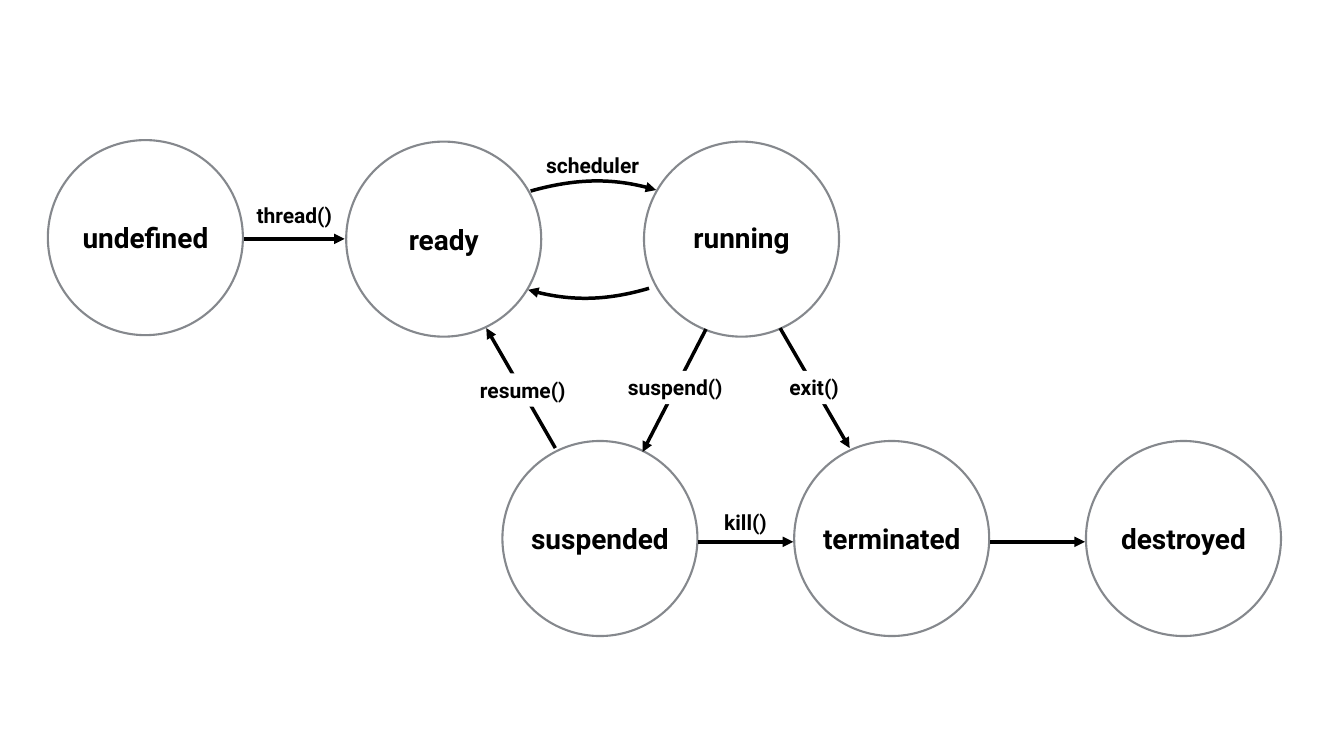
from typing import NamedTuple

from lxml import etree
from pptx import Presentation
from pptx.dml.color import RGBColor
from pptx.enum.shapes import MSO_CONNECTOR, MSO_SHAPE
from pptx.enum.text import MSO_ANCHOR, MSO_AUTO_SIZE, PP_ALIGN
from pptx.oxml.ns import qn
from pptx.util import Emu, Pt

STRAIGHT = MSO_CONNECTOR.STRAIGHT
OVAL = MSO_SHAPE.OVAL
RECTANGLE = MSO_SHAPE.RECTANGLE
MIDDLE = MSO_ANCHOR.MIDDLE
FIT_SHAPE = MSO_AUTO_SIZE.SHAPE_TO_FIT_TEXT
CENTER = PP_ALIGN.CENTER

EMU_PER_PX = 9144
SLIDE_WIDTH, SLIDE_HEIGHT = 2667, 1500
DIAMETER = 387
NAME_HEIGHT, CALL_HEIGHT = 82, 66
NAME_SIZE, CALL_SIZE = 40, 30
INSET = 8
FONT = "Roboto"
BLACK, WHITE, GRAY = "000000", "FFFFFF", "85888D"


class Point(NamedTuple):
    x: int
    y: int


class State(NamedTuple):
    name: str
    left: int
    top: int
    name_top: int
    name_width: int


class Transition(NamedTuple):
    start: Point
    end: Point


class Curve(NamedTuple):
    start: Point
    control_1: Point
    control_2: Point
    end: Point


class Call(NamedTuple):
    text: str
    left: int
    top: int
    width: int
    covers_arrow: bool = False


STATES = [
    State("undefined", 95, 278, 430, 282),
    State("ready", 687, 281, 433, 165),
    State("running", 1278, 281, 430, 224),
    State("suspended", 997, 875, 1027, 310),
    State("terminated", 1576, 875, 1027, 301),
    State("destroyed", 2155, 875, 1027, 283),
]

TRANSITIONS = [
    Transition(Point(485, 474), Point(684, 474)),
    Transition(Point(1102, 889), Point(965, 651)),
    Transition(Point(1385, 1075), Point(1574, 1075)),
    Transition(Point(1965, 1075), Point(2153, 1075)),
    Transition(Point(1548, 651), Point(1686, 889)),
    Transition(Point(1401, 653), Point(1275, 897)),
]

CURVES = [
    Curve(Point(1053, 379), Point(1142, 354), Point(1225, 353), Point(1302, 377)),
    Curve(Point(1288, 572), Point(1203, 597), Point(1122, 597), Point(1048, 575)),
]

CALLS = [
    Call("resume()", 941, 741, 193, True),
    Call("suspend()", 1232, 736, 216, True),
    Call("exit()", 1557, 736, 117, True),
    Call("kill()", 1428, 1003, 103),
    Call("thread()", 498, 394, 172),
    Call("scheduler", 1069, 294, 214),
]


def px(length: float) -> Emu:
    return Emu(round(length * EMU_PER_PX))


def color(value: str) -> RGBColor:
    return RGBColor.from_string(value)


def draw_circle(shapes, state: State) -> None:
    circle = shapes.add_shape(OVAL, px(state.left), px(state.top), px(DIAMETER), px(DIAMETER))
    circle.shadow.inherit = False
    circle.fill.background()
    circle.line.color.rgb = color(GRAY)
    circle.line.width = Pt(3)


def write_text(holder, text: str, size: int) -> None:
    frame = holder.text_frame
    frame.margin_left = frame.margin_right = px(INSET)
    frame.margin_top = frame.margin_bottom = px(INSET)
    frame.word_wrap = False
    frame.auto_size = FIT_SHAPE
    frame.vertical_anchor = MIDDLE
    paragraph = frame.paragraphs[0]
    paragraph.text = text
    paragraph.alignment = CENTER
    paragraph.font.name = FONT
    paragraph.font.size = Pt(size)
    paragraph.font.bold = True
    paragraph.font.color.rgb = color(BLACK)


def draw_name(shapes, state: State) -> None:
    left = state.left + (DIAMETER - state.name_width) / 2
    box = shapes.add_textbox(px(left), px(state.name_top), px(state.name_width), px(NAME_HEIGHT))
    write_text(box, state.name, NAME_SIZE)


def draw_call(shapes, call: Call) -> None:
    bounds = px(call.left), px(call.top), px(call.width), px(CALL_HEIGHT)
    if call.covers_arrow:
        box = shapes.add_shape(RECTANGLE, *bounds)
        box.shadow.inherit = False
        box.fill.solid()
        box.fill.fore_color.rgb = color(WHITE)
        box.line.fill.background()
    else:
        box = shapes.add_textbox(*bounds)
    write_text(box, call.text, CALL_SIZE)


def style_arrow(line) -> None:
    line.color.rgb = color(BLACK)
    line.width = Pt(5)
    etree.SubElement(line._get_or_add_ln(), qn("a:tailEnd"), type="triangle")


def draw_transition(shapes, transition: Transition) -> None:
    start, end = transition
    arrow = shapes.add_connector(STRAIGHT, px(start.x), px(start.y), px(end.x), px(end.y))
    style_arrow(arrow.line)
    etree.SubElement(arrow._element.spPr, qn("a:effectLst"))


def draw_curve(shapes, curve: Curve) -> None:
    start, control_1, control_2, end = curve
    middle = Point(*(round((a + 3 * b + 3 * c + d) / 8) for a, b, c, d in zip(*curve)))
    builder = shapes.build_freeform(start.x, start.y, scale=EMU_PER_PX)
    builder.add_line_segments([middle, end], close=False)
    arrow = builder.convert_to_shape()
    arrow.shadow.inherit = False
    arrow.fill.background()
    style_arrow(arrow.line)

    outline = arrow._element.xpath(".//a:path")[0]
    for segment in outline.findall(qn("a:lnTo")):
        outline.remove(segment)
    bezier = etree.SubElement(outline, qn("a:cubicBezTo"))
    left = min(point.x for point in (start, middle, end))
    top = min(point.y for point in (start, middle, end))
    for point in (control_1, control_2, end):
        etree.SubElement(bezier, qn("a:pt"), x=str(point.x - left), y=str(point.y - top))


def main() -> None:
    presentation = Presentation()
    presentation.slide_width = px(SLIDE_WIDTH)
    presentation.slide_height = px(SLIDE_HEIGHT)
    slide = presentation.slides.add_slide(presentation.slide_layouts[6])
    slide.background.fill.solid()
    slide.background.fill.fore_color.rgb = color(WHITE)

    for draw, items in (
        (draw_circle, STATES),
        (draw_name, STATES),
        (draw_transition, TRANSITIONS),
        (draw_curve, CURVES),
        (draw_call, CALLS),
    ):
        for item in items:
            draw(slide.shapes, item)

    presentation.save("out.pptx")


if __name__ == "__main__":
    main()
